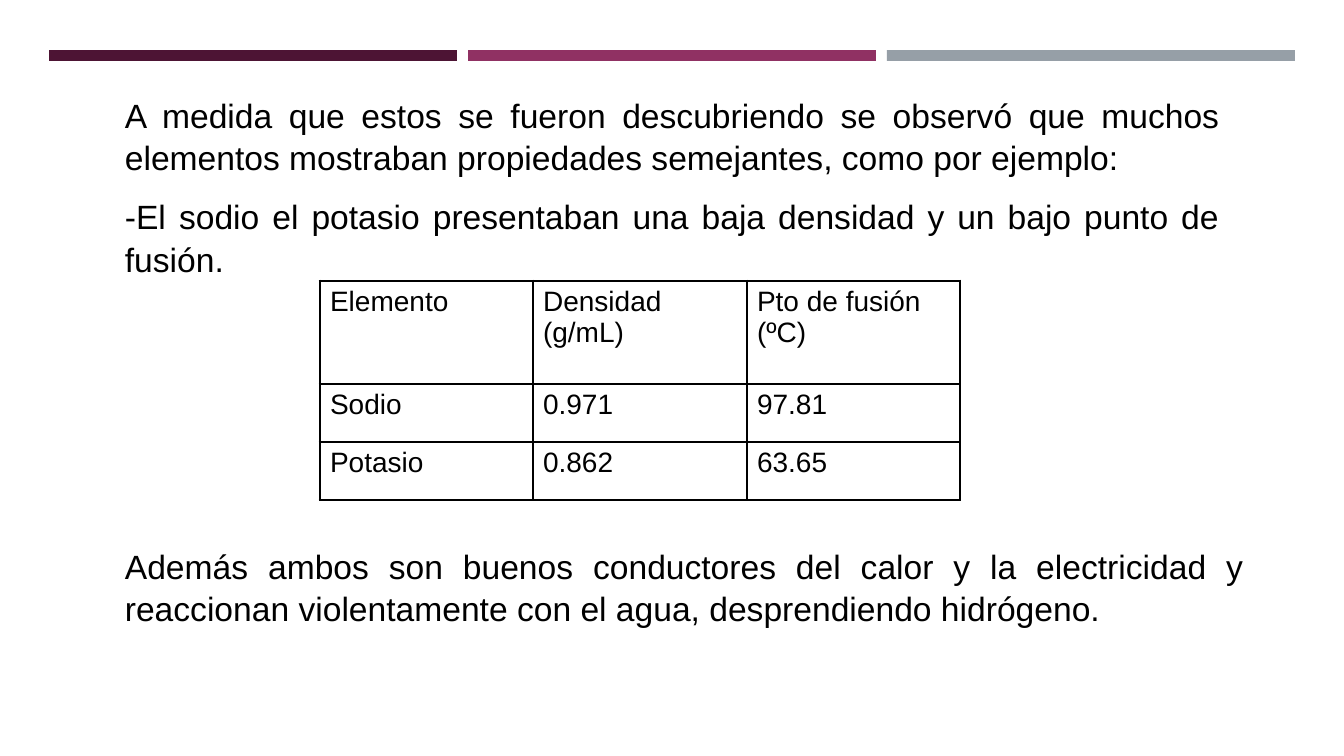
from pptx import Presentation
from pptx.dml.color import RGBColor
from pptx.enum.shapes import MSO_SHAPE as Shape
from pptx.enum.text import MSO_AUTO_SIZE as AutoSize, PP_ALIGN as Align
from pptx.oxml import parse_xml
from pptx.oxml.ns import nsdecls
from pptx.util import Emu, Pt

COLORS = {
    "plum": "4D1434",
    "magenta": "903163",
    "gray": "969FA7",
    "black": "000000",
}
FONT = "Arial"
EMU_PER_PX = 914400 / 100.8
THIN, THICK = 1, 2.25

INTRODUCTION = [
    "A medida que estos se fueron descubriendo se observó que muchos "
    "elementos mostraban propiedades semejantes, como por ejemplo:",
    "-El sodio el potasio presentaban una baja densidad y un bajo punto de fusión.",
]
CONCLUSION = [
    "Además ambos son buenos conductores del calor y la electricidad y "
    "reaccionan violentamente con el agua, desprendiendo hidrógeno.",
]
PROPERTIES = [
    ["Elemento", "Densidad (g/mL)", "Pto de fusión (ºC)"],
    ["Sodio", "0.971", "97.81"],
    ["Potasio", "0.862", "63.65"],
]
COLUMN_WIDTHS = [213, 214, 213]
ROW_HEIGHTS = [103, 58, 58]


def px(length):
    return Emu(round(length * EMU_PER_PX))


def add_text_run(paragraph, text, size):
    run = paragraph.add_run()
    run.text = text
    run.font.name = FONT
    run.font.size = Pt(size)
    run.font.color.rgb = RGBColor.from_string(COLORS["black"])


def add_bar(slide, left, color):
    shape = slide.shapes.add_shape(Shape.RECTANGLE, px(left), px(50), px(408), px(11))
    shape.shadow.inherit = False
    shape.fill.solid()
    shape.fill.fore_color.rgb = RGBColor.from_string(COLORS[color])
    shape.line.fill.background()


def add_text_block(slide, left, top, width, height, texts):
    shape = slide.shapes.add_textbox(px(left), px(top), px(width), px(height))
    frame = shape.text_frame
    frame.word_wrap = True
    frame.auto_size = AutoSize.SHAPE_TO_FIT_TEXT
    for index, text in enumerate(texts):
        paragraph = frame.add_paragraph() if index else frame.paragraphs[0]
        paragraph.alignment = Align.JUSTIFY
        paragraph.line_spacing = 1.05
        paragraph.space_before = Pt(12 if index else 0)
        add_text_run(paragraph, text, 24)


def set_borders(cell, widths):
    properties = cell._tc.get_or_add_tcPr()
    for index, (side, width) in enumerate(widths.items()):
        line = parse_xml(
            f'<a:ln{side} {nsdecls("a")} w="{Pt(width)}"><a:solidFill>'
            f'<a:srgbClr val="{COLORS["black"]}"/></a:solidFill></a:ln{side}>'
        )
        properties.insert(index, line)


def add_properties_table(slide, left, top):
    row_count, column_count = len(PROPERTIES), len(COLUMN_WIDTHS)
    table = slide.shapes.add_table(
        row_count, column_count, px(left), px(top),
        px(sum(COLUMN_WIDTHS)), px(sum(ROW_HEIGHTS)),
    ).table
    table.first_row = False
    table.horz_banding = False
    for column, width in zip(table.columns, COLUMN_WIDTHS):
        column.width = px(width)
    for row, height in zip(table.rows, ROW_HEIGHTS):
        row.height = px(height)
    for row, texts in enumerate(PROPERTIES):
        for column, text in enumerate(texts):
            cell = table.cell(row, column)
            cell.fill.background()
            add_text_run(cell.text_frame.paragraphs[0], text, 20)
            set_borders(cell, {
                "L": THICK if column == 0 else THIN,
                "R": THICK if column == column_count - 1 else THIN,
                "T": THICK if row == 0 else THIN,
                "B": THICK if row == row_count - 1 else THIN,
            })


def main():
    presentation = Presentation()
    presentation.slide_width = px(1344)
    presentation.slide_height = px(756)
    slide = presentation.slides.add_slide(presentation.slide_layouts[6])
    for index, color in enumerate(["plum", "magenta", "gray"]):
        add_bar(slide, 49 + index * 419, color)
    add_text_block(slide, 115, 88, 1114, 194, INTRODUCTION)
    add_properties_table(slide, 320, 281)
    add_text_block(slide, 115, 539, 1138, 92, CONCLUSION)
    presentation.save("out.pptx")


if __name__ == "__main__":
    main()
